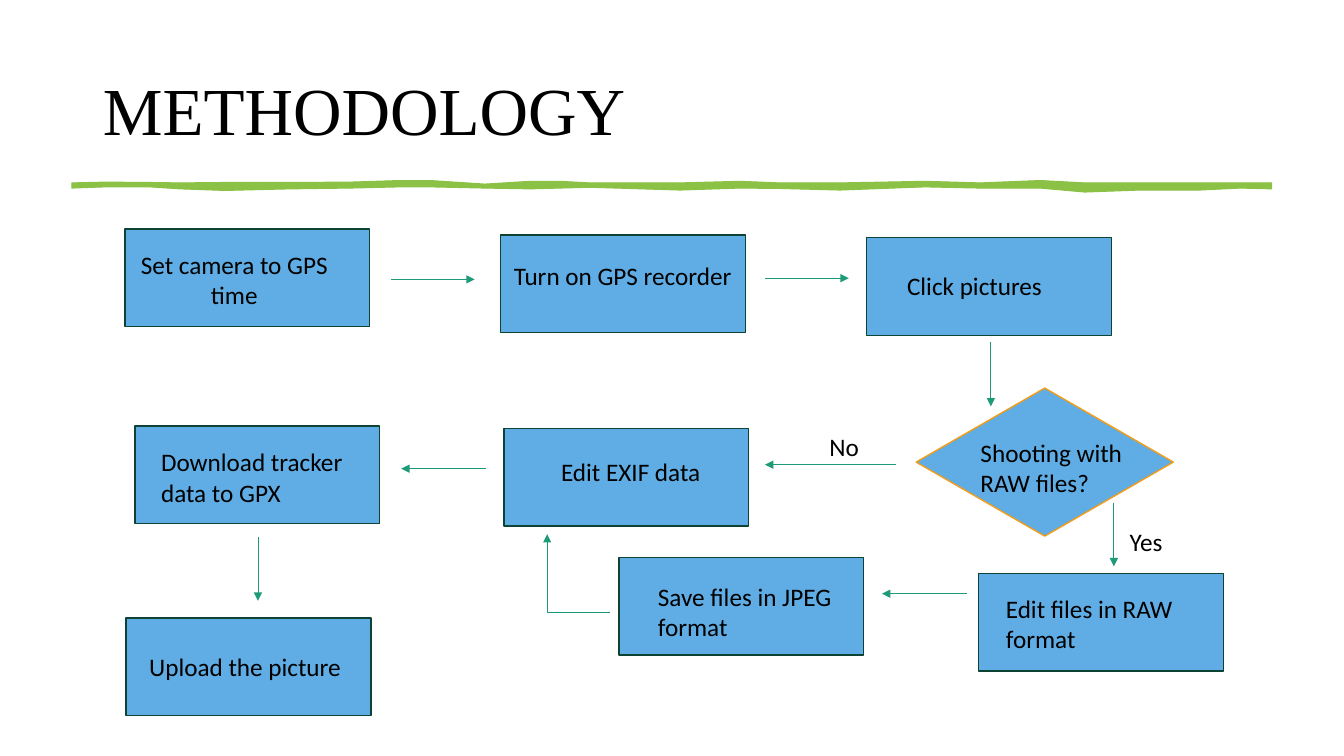
from pptx import Presentation
from pptx.dml.color import RGBColor
from pptx.enum.shapes import MSO_CONNECTOR, MSO_SHAPE
from pptx.enum.text import MSO_ANCHOR, PP_ALIGN
from pptx.oxml.ns import qn
from pptx.util import Cm, Pt
from lxml.etree import SubElement

BLUE, DARK, ORANGE, TEAL, GREEN, BLACK = (
    "5FADE4", "0D4335", "F19D19", "1D9A78", "8BC145", "000000")
BODY = {"name": "Calibri", "size": Pt(18)}
HEADING = {"name": "Times New Roman", "size": Pt(48)}
STEP_W, STEP_H = 6.17, 2.46
LABEL_W = 5.51

# Steps: text, box left and top, text offset inside the box, text width, lines
STEPS = [
    ("Set camera to GPS time", 3.15, 5.77, 0, 0.38, LABEL_W, 2),
    ("Turn on GPS recorder", 12.62, 5.92, 0.08, 0.51, STEP_W, 1),
    ("Click pictures", 21.84, 5.99, 0.77, 0.69, STEP_W, 1),
    ("Edit EXIF data", 12.7, 10.8, 1.19, 0.58, LABEL_W, 1),
    ("Download tracker data to GPX", 3.4, 10.74, 0.41, 0.39, LABEL_W, 2),
    ("Edit files in RAW format", 24.66, 14.45, 0.44, 0.38, LABEL_W, 2),
    ("Save files in JPEG format", 15.6, 14.05, 0.73, 0.48, LABEL_W, 2),
    ("Upload the picture", 3.18, 15.57, 0.33, 0.71, LABEL_W, 1),
]

# Arrows: start x, y and end x, y
ARROWS = [
    (9.86, 7.04, 11.96, 7.04),
    (19.28, 7.01, 21.39, 7.01),
    (24.97, 8.61, 24.97, 10.24),
    (22.58, 11.71, 19.28, 11.71),
    (12.24, 11.81, 10.11, 11.81),
    (6.5, 13.54, 6.5, 15.14),
    (28.07, 12.67, 28.07, 14.27),
    (24.36, 14.96, 22.23, 14.96),
    (13.79, 15.42, 13.79, 13.46),
]

# Brush stroke: x, upper edge, lower edge
STROKE = [
    (1.81, 4.61, 4.74), (2.65, 4.59, 4.71), (3.78, 4.6, 4.71),
    (4.54, 4.61, 4.76), (5.67, 4.6, 4.8), (7.31, 4.6, 4.76),
    (8.82, 4.59, 4.74), (10.08, 4.55, 4.71), (10.84, 4.55, 4.71),
    (12.22, 4.64, 4.74), (13.36, 4.57, 4.76), (14.11, 4.57, 4.74),
    (14.87, 4.61, 4.72), (17.14, 4.61, 4.79), (18.65, 4.57, 4.74),
    (19.66, 4.61, 4.75), (21.17, 4.61, 4.79), (23.31, 4.57, 4.71),
    (24.7, 4.61, 4.74), (26.21, 4.55, 4.74), (27.34, 4.61, 4.84),
    (28.73, 4.61, 4.79), (30.24, 4.61, 4.79), (31.25, 4.61, 4.74),
    (32.05, 4.61, 4.76),
]


def rgb(value):
    return RGBColor.from_string(value)


def format_run(r, text, formats):
    r.text = text
    for name, value in formats.items():
        setattr(r.font, name, value)
    r.font.color.rgb = rgb(BLACK)


def paint(sp, fill, line, width):
    sp.shadow.inherit = False
    sp.fill.solid()
    sp.fill.fore_color.rgb = rgb(fill)
    sp.line.color.rgb = rgb(line)
    sp.line.width = Pt(width)


def add_title(s, text):
    sp = s.shapes.title
    sp.left, sp.top, sp.width, sp.height = Cm(2.34), Cm(1.02), Cm(29.21), Cm(3.68)
    tf = sp.text_frame
    tf.vertical_anchor = MSO_ANCHOR.MIDDLE
    p = tf.paragraphs[0]
    p.alignment, p.line_spacing = PP_ALIGN.LEFT, 0.9
    format_run(p.add_run(), text, HEADING)


def add_label(shapes, text, x, y, w, lines=1, align=PP_ALIGN.LEFT):
    height = 1.47 if lines == 2 else 0.84
    tf = shapes.add_textbox(Cm(x), Cm(y), Cm(w), Cm(height)).text_frame
    tf.word_wrap = True
    p = tf.paragraphs[0]
    p.alignment = align
    format_run(p.add_run(), text, BODY)


def add_step(s, text, x, y, dx, dy, text_w, lines, kind=MSO_SHAPE.RECTANGLE,
             size=(STEP_W, STEP_H), outline=DARK, align=PP_ALIGN.LEFT):
    group = s.shapes.add_group_shape()
    sp = group.shapes.add_shape(kind, Cm(x), Cm(y), Cm(size[0]), Cm(size[1]))
    paint(sp, BLUE, outline, 1)
    add_label(group.shapes, text, x + dx, y + dy, text_w, lines, align)


def add_line(s, x1, y1, x2, y2, arrow=True):
    c = s.shapes.add_connector(MSO_CONNECTOR.STRAIGHT, Cm(x1), Cm(y1), Cm(x2), Cm(y2))
    c.line.color.rgb = rgb(TEAL)
    c.line.width = Pt(0.5)
    if arrow:
        SubElement(c.line._get_or_add_ln(), qn("a:tailEnd"), type="triangle")
    SubElement(c._element.spPr, qn("a:effectLst"))


def add_stroke(s):
    upper = [(Cm(x), Cm(top)) for x, top, _ in STROKE]
    lower = [(Cm(x), Cm(bottom)) for x, _, bottom in reversed(STROKE)]
    builder = s.shapes.build_freeform(*upper[0])
    builder.add_line_segments(upper[1:] + lower, close=True)
    paint(builder.convert_to_shape(), GREEN, GREEN, 0.75)


def main():
    prs = Presentation()
    prs.slide_width, prs.slide_height = Cm(33.87), Cm(19.05)
    s = prs.slides.add_slide(prs.slide_layouts[5])

    # Heading
    add_title(s, "METHODOLOGY")
    add_stroke(s)

    # Flowchart steps, the first with centred text
    for i, step in enumerate(STEPS):
        add_step(s, *step, align=PP_ALIGN.LEFT if i else PP_ALIGN.CENTER)

    # Decision and its answers
    add_step(s, "Shooting with RAW files?", 23.09, 9.78, 1.37, 1.12, 4.78, 2,
             MSO_SHAPE.FLOWCHART_DECISION, (6.48, 3.73), ORANGE)
    add_label(s.shapes, "Yes", 28.22, 13.13, 2.18)
    add_label(s.shapes, "No", 20.65, 10.74, 2.18)

    # Arrows, and the level part of the bent one
    for arrow in ARROWS:
        add_line(s, *arrow)
    add_line(s, 15.37, 15.42, 13.79, 15.42, arrow=False)

    prs.save("out.pptx")


if __name__ == "__main__":
    main()
